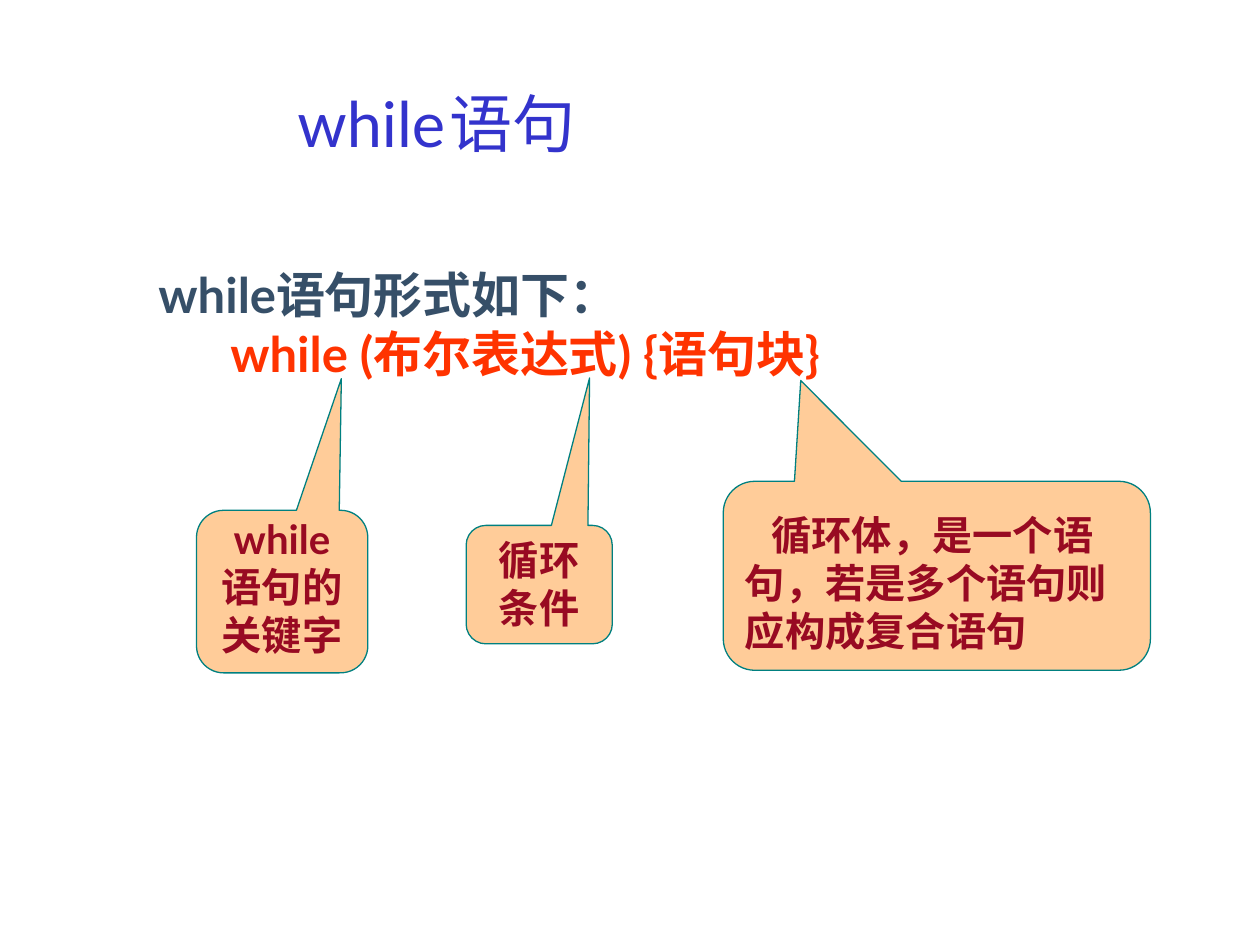
import pptx
import pptx.dml.color
import pptx.enum.shapes
import pptx.enum.text
import pptx.oxml
import pptx.oxml.ns
import pptx.util

Inches = pptx.util.Inches
ALIGN = pptx.enum.text.PP_ALIGN
ANCHOR = pptx.enum.text.MSO_ANCHOR


def rgb(color):
    """Return the colour for a hex string."""
    return pptx.dml.color.RGBColor.from_string(color)


def add_run(p, text, size, color, bold=True):
    """Append a formatted run to a paragraph."""
    r = p.add_run()
    r.text = text
    r.font.name = "Lato"
    r.font.size = pptx.util.Pt(size)
    r.font.bold = bold
    r.font.color.rgb = rgb(color)


def indent(p, first=0, margin=0):
    """Set the first-line indent and left margin of a paragraph."""
    pPr = p._p.get_or_add_pPr()
    pPr.set("marL", str(Inches(margin)))
    pPr.set("indent", str(Inches(first)))
    return pPr


def fill_title(s, x, y, w, h):
    """Place the title, with a tab between its two words."""
    sp = s.shapes.title
    sp.left, sp.top, sp.width, sp.height = map(Inches, (x, y, w, h))
    tf = sp.text_frame
    tf.auto_size = pptx.enum.text.MSO_AUTO_SIZE.NONE
    tf.vertical_anchor = ANCHOR.BOTTOM
    p = tf.paragraphs[0]
    p.alignment = ALIGN.LEFT
    pPr = indent(p, first=1.79)
    tabs = pptx.oxml.parse_xml(
        f'<a:tabLst {pptx.oxml.ns.nsdecls("a")}>'
        f'<a:tab pos="{Inches(3.33)}" algn="l"/></a:tabLst>'
    )
    pPr.append(tabs)
    add_run(p, "while\t语句", 36, "3333CC", bold=False)


def add_syntax(s, x, y, w, h):
    """Add the introduction and the indented form of the statement."""
    tf = s.shapes.add_textbox(*map(Inches, (x, y, w, h))).text_frame
    tf.word_wrap = True
    add_run(tf.paragraphs[0], "while语句形式如下：", 28, "364F68")
    p = tf.add_paragraph()
    indent(p, margin=0.57)
    add_run(p, "while (布尔表达式) {语句块}", 28, "FF3300")


def add_callout(s, x, y, w, h, text, tip, align=ALIGN.CENTER, first=0, right=0.1):
    """Add a rounded callout whose tip is given relative to its centre."""
    kind = pptx.enum.shapes.MSO_SHAPE.ROUNDED_RECTANGULAR_CALLOUT
    sp = s.shapes.add_shape(kind, *map(Inches, (x, y, w, h)))
    sp.adjustments[0], sp.adjustments[1] = tip[0] / w, tip[1] / h
    sp.shadow.inherit = False
    sp.fill.solid()
    sp.fill.fore_color.rgb = rgb("FFCC99")
    sp.line.color.rgb = rgb("008080")
    sp.line.width = pptx.util.Pt(0.75)
    tf = sp.text_frame
    tf.word_wrap = True
    tf.vertical_anchor = ANCHOR.BOTTOM
    tf.margin_right = Inches(right)
    p = tf.paragraphs[0]
    p.alignment = align
    indent(p, first=first)
    add_run(p, text, 23, "980A22")


def main():
    """Build and save the slide."""
    prs = pptx.Presentation()
    prs.slide_width, prs.slide_height = Inches(10), Inches(7.5)
    s = prs.slides.add_slide(prs.slide_layouts[5])
    fill_title(s, 0.47, 0.49, 8.5, 0.83)
    add_syntax(s, 1.16, 2.05, 8.54, 1.1)
    add_callout(s, 1.56, 4.05, 1.36, 1.29, "while语句的关键字", (0.47, -1.69))
    add_callout(s, 3.7, 4.17, 1.16, 0.94, "循环条件", (0.4, -1.64))
    add_callout(s, 5.74, 3.82, 3.39, 1.5,
                "循环体，是一个语句，若是多个语句则应构成复合语句",
                (-1.08, -1.55), ALIGN.LEFT, first=0.21, right=0.06)
    prs.save("out.pptx")


if __name__ == "__main__":
    main()
